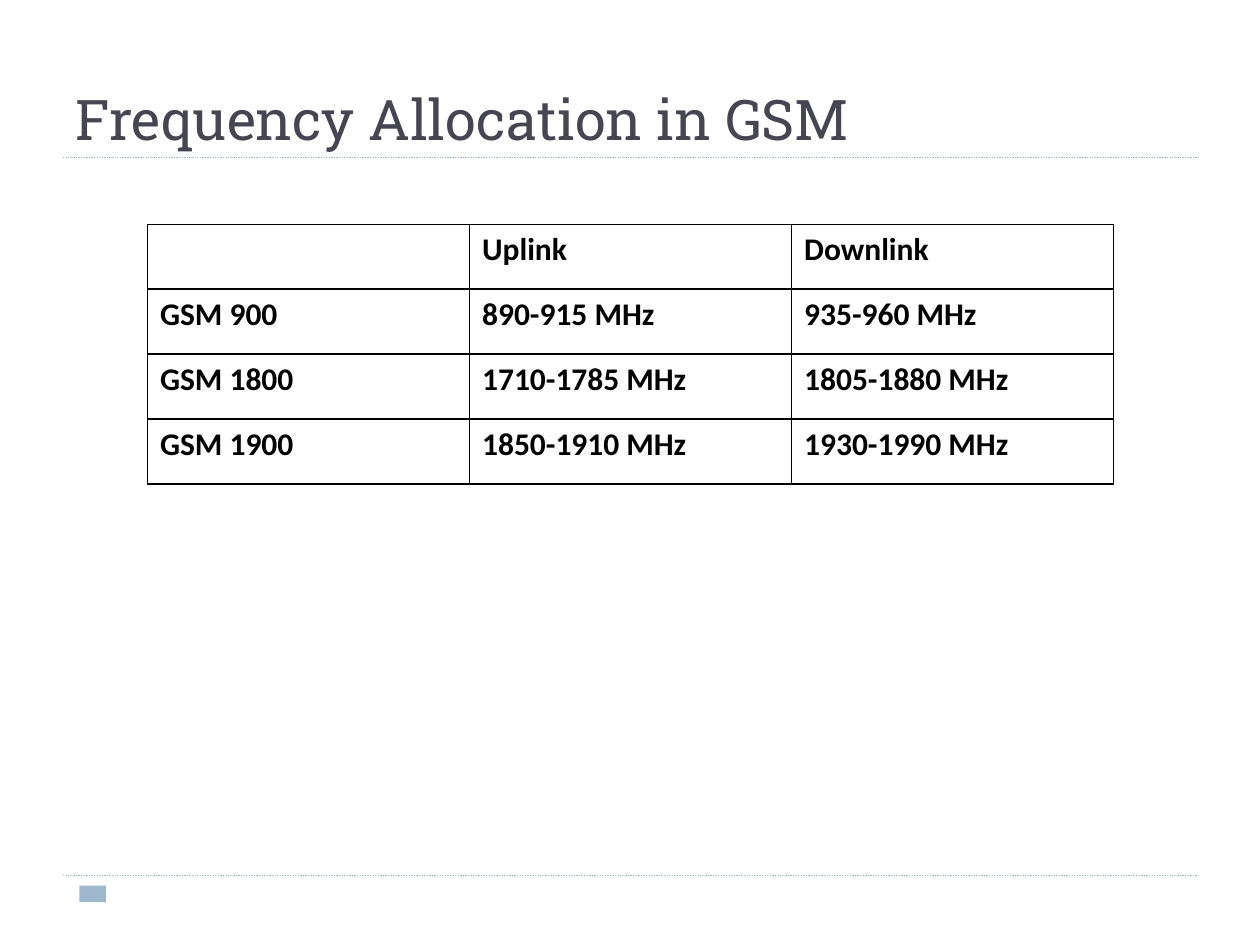
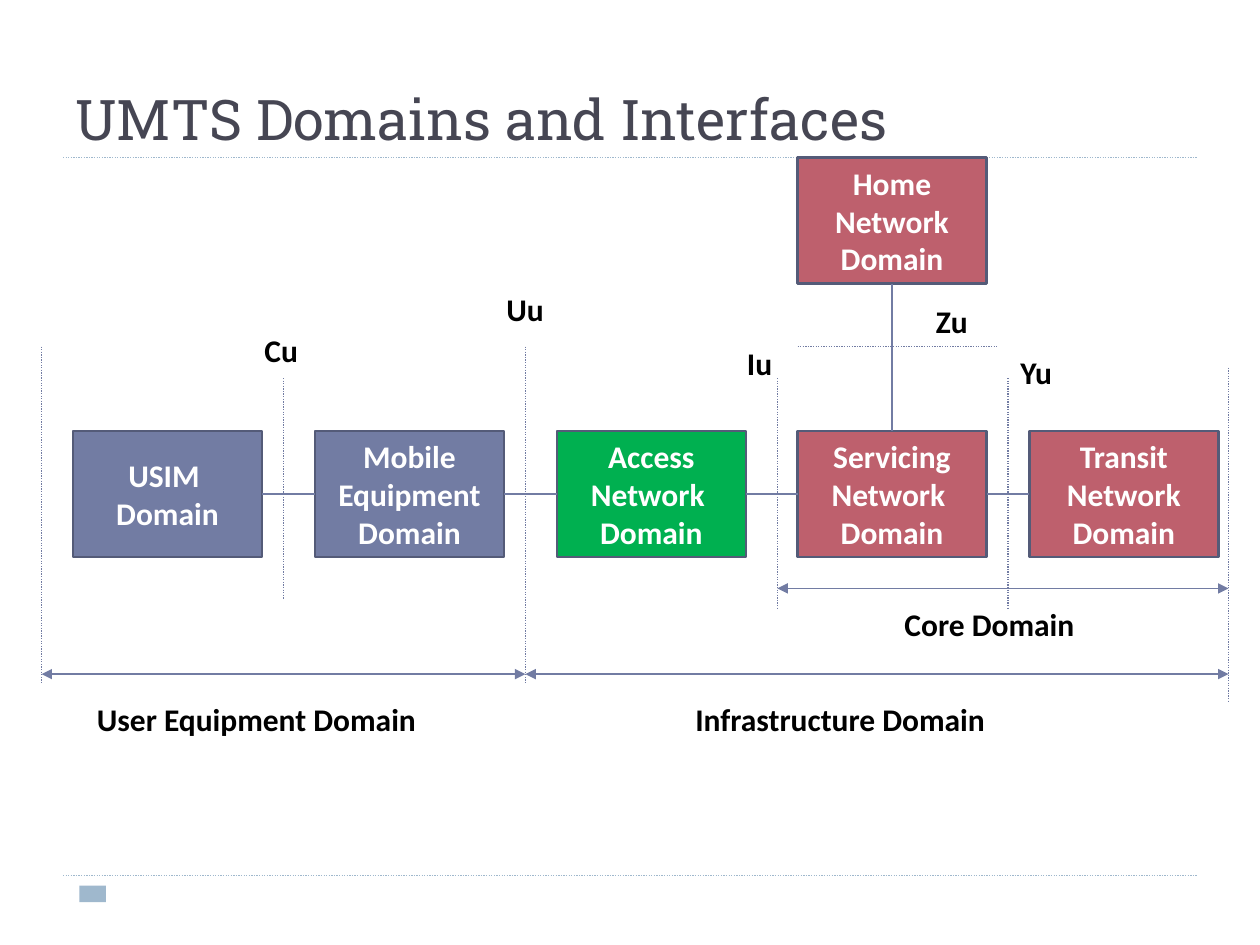
from dataclasses import dataclass

from lxml import etree
from pptx import Presentation
from pptx.dml.color import RGBColor
from pptx.enum.dml import MSO_LINE
from pptx.enum.shapes import MSO_CONNECTOR, MSO_SHAPE
from pptx.enum.text import MSO_ANCHOR, PP_ALIGN
from pptx.oxml import parse_xml
from pptx.oxml.ns import nsdecls, qn
from pptx.util import Inches, Pt

RECTANGLE = MSO_SHAPE.RECTANGLE
STRAIGHT = MSO_CONNECTOR.STRAIGHT
DOTTED = MSO_LINE.ROUND_DOT
TOP, MIDDLE, BOTTOM = MSO_ANCHOR.TOP, MSO_ANCHOR.MIDDLE, MSO_ANCHOR.BOTTOM
LEFT, CENTER = PP_ALIGN.LEFT, PP_ALIGN.CENTER
SIDE_TOP, SIDE_LEFT, SIDE_BOTTOM, SIDE_RIGHT = range(4)


@dataclass(frozen=True)
class Theme:
    title_font: str = "Roboto Slab"
    body_font: str = "Calibri"
    title_size: int = 32
    body_size: int = 18
    title: str = "464653"
    text: str = "000000"
    white: str = "FFFFFF"
    rule: str = "9FB8CD"
    link: str = "727CA3"
    outline: str = "545B78"
    user: str = "727CA3"
    access: str = "00B050"
    core: str = "BE606D"


THEME = Theme()


def write(frame, text, *, size=THEME.body_size, font=THEME.body_font,
          color=THEME.text, bold=True, align=LEFT, anchor=TOP):
    """Fill a text frame, one paragraph per line of text."""
    frame.word_wrap = True
    frame.vertical_anchor = anchor
    frame.text = text
    for paragraph in frame.paragraphs:
        paragraph.alignment = align
        paragraph.font.size = Pt(size)
        paragraph.font.name = font
        paragraph.font.bold = bold
        paragraph.font.color.rgb = RGBColor.from_string(color)


def draw_line(slide, x1, y1, x2, y2, color=THEME.link, dash=None, arrows=False):
    line = slide.shapes.add_connector(
        STRAIGHT, Inches(x1), Inches(y1), Inches(x2), Inches(y2))
    line.line.color.rgb = RGBColor.from_string(color)
    line.line.width = Pt(0.75)
    if dash:
        line.line.dash_style = dash
    properties = line.element.spPr
    if arrows:
        outline = properties.find(qn("a:ln"))
        for end in ("a:headEnd", "a:tailEnd"):
            etree.SubElement(outline, qn(end), type="triangle")
    etree.SubElement(properties, qn("a:effectLst"))
    return line


prs = Presentation()
prs.slide_width, prs.slide_height = Inches(10), Inches(7.5)

# Rules, footer mark and title on every slide
slides = []
for title in ("Frequency Allocation in GSM", "UMTS Domains and Interfaces"):
    slide = prs.slides.add_slide(prs.slide_layouts[6])
    for y in (6.95, 1.25):
        draw_line(slide, 0.5, y, 9.5, y, color=THEME.rule, dash=DOTTED)
    footer_mark = slide.shapes.add_shape(
        RECTANGLE, Inches(0.63), Inches(7.03), Inches(0.21), Inches(0.13))
    footer_mark.shadow.inherit = False
    footer_mark.fill.solid()
    footer_mark.fill.fore_color.rgb = RGBColor.from_string(THEME.rule)
    footer_mark.line.fill.background()
    heading = slide.shapes.add_textbox(
        Inches(0.5), Inches(0.17), Inches(9), Inches(1.08))
    write(heading.text_frame, title, size=THEME.title_size,
          font=THEME.title_font, color=THEME.title, bold=False, anchor=BOTTOM)
    slides.append(slide)
frequency_slide, umts_slide = slides

# Frequency table
BANDS = [
    ("", "Uplink", "Downlink"),
    ("GSM 900", "890-915 MHz", "935-960 MHz"),
    ("GSM 1800", "1710-1785 MHz", "1805-1880 MHz"),
    ("GSM 1900", "1850-1910 MHz", "1930-1990 MHz"),
]
bands = frequency_slide.shapes.add_table(
    len(BANDS), 3, Inches(1.17), Inches(1.78), Inches(7.67), Inches(2.06)).table
bands.first_row = bands.horz_banding = False
for row, values in enumerate(BANDS):
    for column, value in enumerate(values):
        cell = bands.cell(row, column)
        write(cell.text_frame, value)
        cell_properties = cell._tc.get_or_add_tcPr()
        for side in "LRTB":
            cell_properties.append(parse_xml(
                f'<a:ln{side} {nsdecls("a")} w="12700"><a:solidFill>'
                f'<a:srgbClr val="{THEME.text}"/></a:solidFill></a:ln{side}>'))
        cell.fill.solid()
        cell.fill.fore_color.rgb = RGBColor.from_string(THEME.white)

# Domains
CHAIN_TOP = 3.42
DOMAINS = [
    ("USIM \nDomain", 0.58, CHAIN_TOP, THEME.user),
    ("Mobile Equipment\nDomain", 2.5, CHAIN_TOP, THEME.user),
    ("Access Network \nDomain", 4.42, CHAIN_TOP, THEME.access),
    ("Servicing Network \nDomain", 6.33, CHAIN_TOP, THEME.core),
    ("Transit Network\nDomain", 8.17, CHAIN_TOP, THEME.core),
    ("Home Network\nDomain", 6.33, 1.25, THEME.core),
]
domains = []
for text, x, y, color in DOMAINS:
    domain = umts_slide.shapes.add_shape(
        RECTANGLE, Inches(x), Inches(y), Inches(1.5), Inches(1))
    domain.shadow.inherit = False
    domain.fill.solid()
    domain.fill.fore_color.rgb = RGBColor.from_string(color)
    domain.line.color.rgb = RGBColor.from_string(THEME.outline)
    domain.line.width = Pt(1.5)
    write(domain.text_frame, text, color=THEME.white, align=CENTER, anchor=MIDDLE)
    domains.append(domain)

# Links between neighbouring domains
*chain, home = domains
links = [(start, SIDE_RIGHT, end, SIDE_LEFT) for start, end in zip(chain, chain[1:])]
links.append((home, SIDE_BOTTOM, chain[3], SIDE_TOP))
for start, start_side, end, end_side in links:
    link = draw_line(umts_slide, 0, 0, 1, 1)
    link.begin_connect(start, start_side)
    link.end_connect(end, end_side)

# Interface boundaries
USER_EDGE, UU, IU, CORE_EDGE = 0.33, 4.17, 6.17, 9.75
for x, top, bottom in [(USER_EDGE, 2.75, 5.42), (2.25, 3, 4.75), (UU, 2.75, 5.42),
                       (IU, 3, 4.83), (8, 3, 4.83), (CORE_EDGE, 2.92, 5.58)]:
    draw_line(umts_slide, x, top, x, bottom, dash=DOTTED)
draw_line(umts_slide, 6.33, 2.75, 7.92, 2.75, dash=DOTTED)

# Spans of the grouped domains
for start, end, y in [(USER_EDGE, UU, 5.35), (UU, CORE_EDGE, 5.35),
                      (IU, CORE_EDGE, 4.67)]:
    draw_line(umts_slide, start, y, end, y, arrows=True)

# Interface and span labels
for text, x, y, width, height in [
    ("Cu", 2, 2.58, 0.58, 0.4),
    ("Uu", 3.92, 2.25, 0.58, 0.4),
    ("Iu", 5.83, 2.68, 0.58, 0.4),
    ("Zu", 7.33, 2.35, 0.58, 0.4),
    ("Yu", 8, 2.75, 0.58, 0.4),
    ("User Equipment Domain", 0.67, 5.51, 3.25, 0.7),
    ("Infrastructure Domain", 5.42, 5.51, 3.25, 0.7),
    ("Core Domain", 7.08, 4.75, 2.08, 0.4),
]:
    label = umts_slide.shapes.add_textbox(
        Inches(x), Inches(y), Inches(width), Inches(height))
    write(label.text_frame, text)

prs.save("out.pptx")
